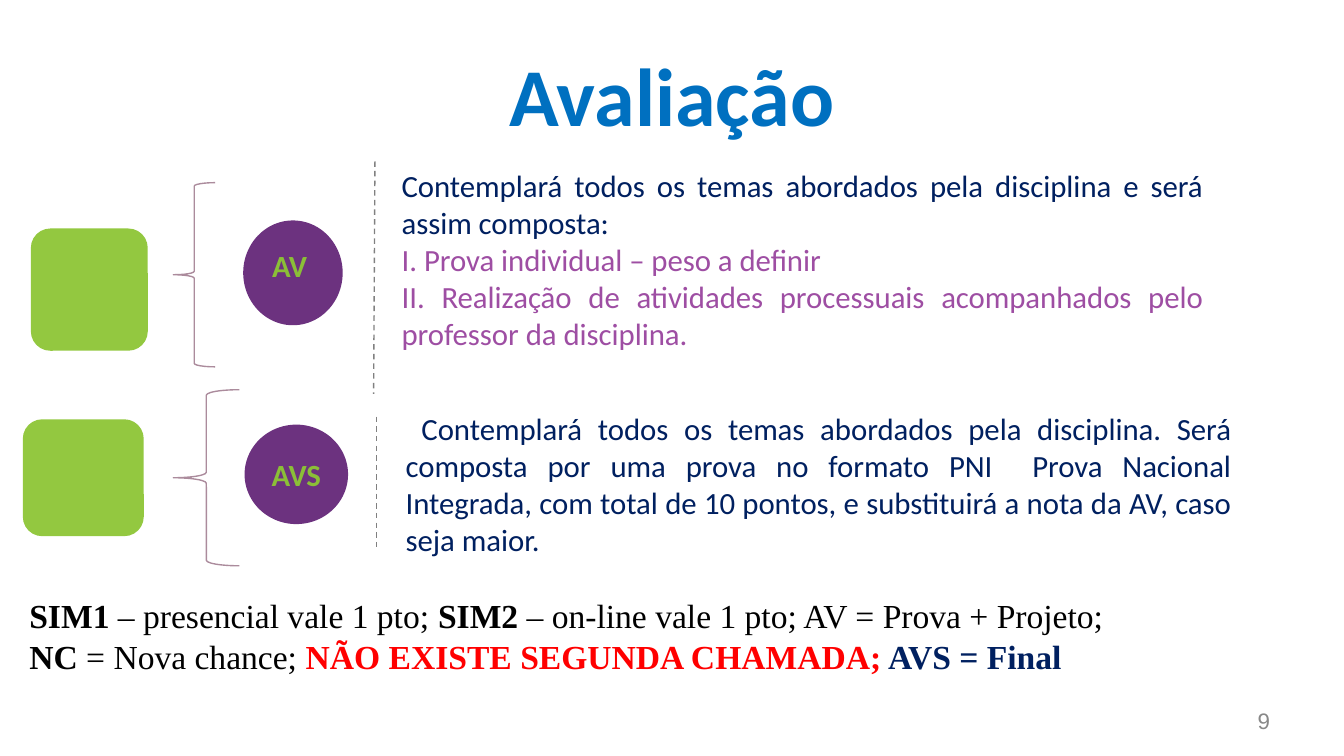
from dataclasses import dataclass
from lxml.etree import SubElement
from pptx import Presentation
from pptx.dml.color import RGBColor
from pptx.enum.dml import MSO_LINE as Dash
from pptx.enum.shapes import MSO_CONNECTOR as Link, MSO_SHAPE as Kind
from pptx.enum.text import MSO_ANCHOR as Anchor, PP_ALIGN as Align
from pptx.oxml.ns import qn
from pptx.util import Inches, Pt


@dataclass(frozen=True)
class Theme:
    blue: str = "0070C0"
    navy: str = "002060"
    mauve: str = "9E4EA3"
    purple: str = "6C327F"
    green: str = "93C840"
    lime: str = "8BBF37"
    brace: str = "AB8B9C"
    gray: str = "808080"
    pale: str = "888888"
    black: str = "000000"
    red: str = "FF0000"
    sans: str = "Calibri"
    serif: str = "Times New Roman"
    plain: str = "Arial"
    head: float = 44
    body: float = 16.5
    note: float = 18
    small: float = 12
    rule: float = 0.75


class Deck:
    def __init__(self, theme):
        self.theme = theme
        self.file = Presentation()
        self.file.slide_width = Inches(10)
        self.file.slide_height = Inches(10 * 9 / 16)
        self.slide = self.file.slides.add_slide(self.file.slide_layouts[5])
        self.host = self.slide.shapes

    def group(self):
        self.host = self.slide.shapes.add_group_shape().shapes

    def ungroup(self):
        self.host = self.slide.shapes

    def style(self, font, face, size, color, bold=False):
        font.name, font.size, font.bold = face, Pt(size), bold
        font.color.rgb = RGBColor.from_string(color)

    def pad(self, frame, gap):
        frame.margin_left = frame.margin_right = Inches(gap)
        frame.margin_top = frame.margin_bottom = Inches(gap)
        frame.vertical_anchor = Anchor.MIDDLE

    def title(self, text, box):
        item = self.slide.shapes.title
        item.left, item.top, item.width, item.height = map(Inches, box)
        frame = item.text_frame
        frame.text = text
        self.pad(frame, 0.05)
        para = frame.paragraphs[0]
        para.alignment = Align.CENTER
        self.style(para.font, self.theme.sans, self.theme.head, self.theme.blue, True)

    def text(self, box, paras, face, size, align=Align.JUSTIFY, pad=None, wrap=True):
        frame = self.host.add_textbox(*map(Inches, box)).text_frame
        frame.word_wrap = wrap
        if pad:
            self.pad(frame, pad)
        for i, runs in enumerate(paras):
            para = frame.add_paragraph() if i else frame.paragraphs[0]
            para.alignment = align
            fonts = {run[1:] for run in runs}
            for words, color, bold in runs:
                run = para.add_run()
                run.text = words
                if len(fonts) > 1:
                    self.style(run.font, face, size, color, bold)
            if len(fonts) == 1:
                self.style(para.font, face, size, *fonts.pop())
        return frame

    def shape(self, kind, box, fill=None, line=None):
        item = self.host.add_shape(kind, *map(Inches, box))
        item.shadow.inherit = False
        if fill:
            item.fill.solid()
            item.fill.fore_color.rgb = RGBColor.from_string(fill)
        else:
            item.fill.background()
        if line:
            item.line.color.rgb = RGBColor.from_string(line)
            item.line.width = Pt(self.theme.rule)
        else:
            item.line.fill.background()

    def dash(self, ends):
        item = self.host.add_connector(Link.STRAIGHT, *map(Inches, ends))
        item.line.color.rgb = RGBColor.from_string(self.theme.gray)
        item.line.width = Pt(self.theme.rule)
        item.line.dash_style = Dash.DASH
        SubElement(item._element.spPr, qn("a:effectLst"))

    def label(self, box, text):
        look = self.theme
        frame = self.text(box, [[(text, look.lime, True)]], look.sans, look.body,
                          Align.CENTER, 0.07)
        frame.paragraphs[0].line_spacing = 0.9

    def row(self, rule, tile, brace, disc, tag, name, box, paras):
        look = self.theme
        self.group()
        self.dash(rule)
        frame = self.text(box, paras, look.sans, look.body)
        self.shape(Kind.LEFT_BRACE, brace, line=look.brace)
        self.shape(Kind.ROUNDED_RECTANGLE, tile, look.green)
        self.shape(Kind.OVAL, disc, look.purple)
        self.label(tag, name)
        self.ungroup()
        return frame


def main():
    look = Theme()
    deck = Deck(look)
    deck.title("Avaliação", (0.5, 0.23, 9, 0.94))
    deck.text((9.21, 5.21, 0.29, 0.3), [[("9", look.pale, False)]],
              look.plain, look.small, Align.RIGHT, 0.05, False)

    final = deck.row(
        rule=(2.8, 3.1, 2.8, 4.08), tile=(0.17, 3.12, 0.9, 0.87),
        brace=(1.29, 2.9, 0.49, 1.31), disc=(1.82, 3.16, 0.77, 0.74),
        tag=(1.62, 3.27, 1.17, 0.55), name="AVS", box=(2.92, 3, 6.34, 1.21),
        paras=[[(" Contemplará todos os temas abordados pela disciplina. Será "
                 "composta por uma prova no formato PNI  Prova Nacional Integrada, "
                 "com total de 10 pontos, e substituirá a nota da AV, caso seja maior.",
                 look.navy, False)]])
    final.paragraphs[0].space_before = Pt(9)

    deck.row(
        rule=(2.79, 1.2, 2.78, 2.93), tile=(0.23, 1.7, 0.87, 0.91),
        brace=(1.29, 1.36, 0.31, 1.37), disc=(1.81, 1.64, 0.74, 0.78),
        tag=(1.64, 1.7, 1.03, 0.58), name="AV", box=(2.89, 1.19, 6.16, 1.49),
        paras=[
            [("Contemplará todos os temas abordados pela disciplina e será "
              "assim composta: ", look.navy, False)],
            [("I. Prova individual – peso a definir", look.mauve, False)],
            [("II. Realização de atividades processuais acompanhados pelo "
              "professor da disciplina.", look.mauve, False)]])

    deck.text((0.12, 4.38, 8.44, 0.71), [
        [("SIM1", look.black, True),
         (" – presencial vale 1 pto; ", look.black, False),
         ("SIM2", look.black, True),
         (" – on-line vale 1 pto; AV = Prova + Projeto;", look.black, False)],
        [("NC", look.black, True),
         (" = Nova chance; ", look.black, False),
         ("NÃO EXISTE SEGUNDA CHAMADA;", look.red, True),
         (" AVS = Final", look.navy, True)],
    ], look.serif, look.note)
    deck.file.save("out.pptx")


if __name__ == "__main__":
    main()
